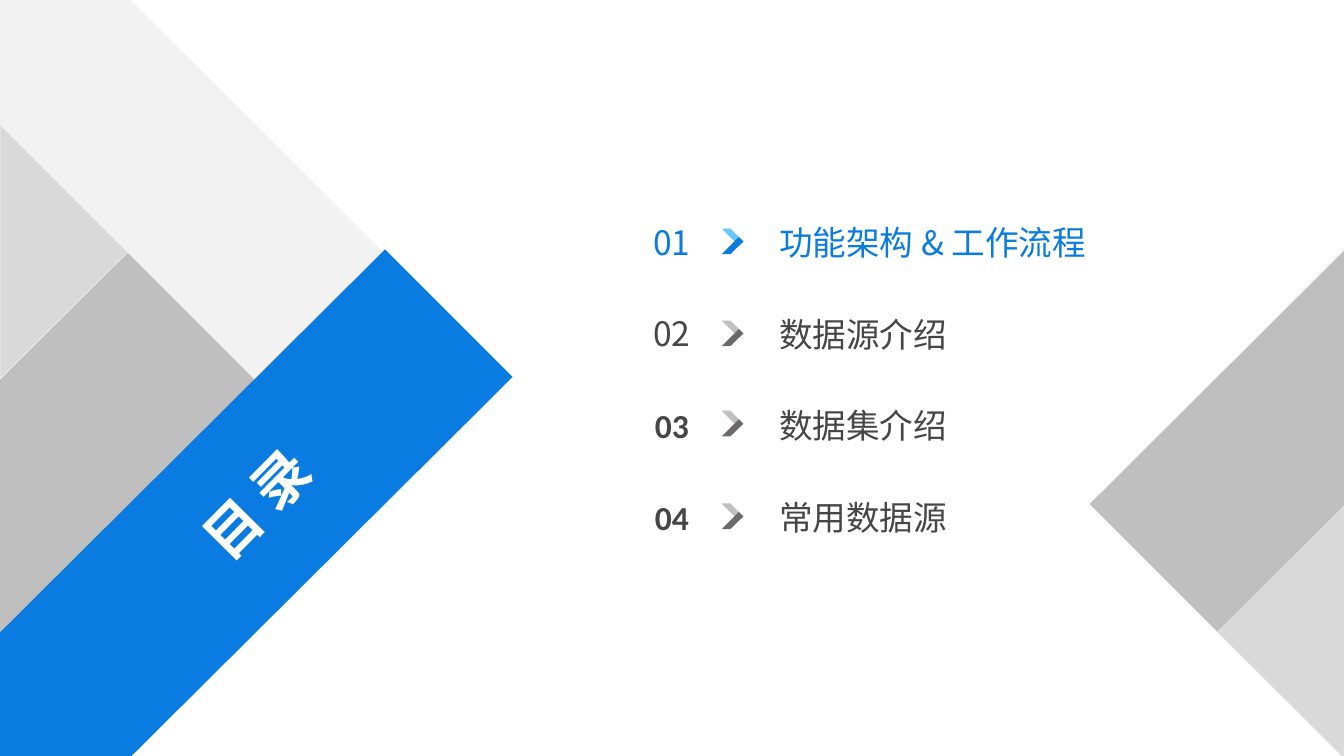
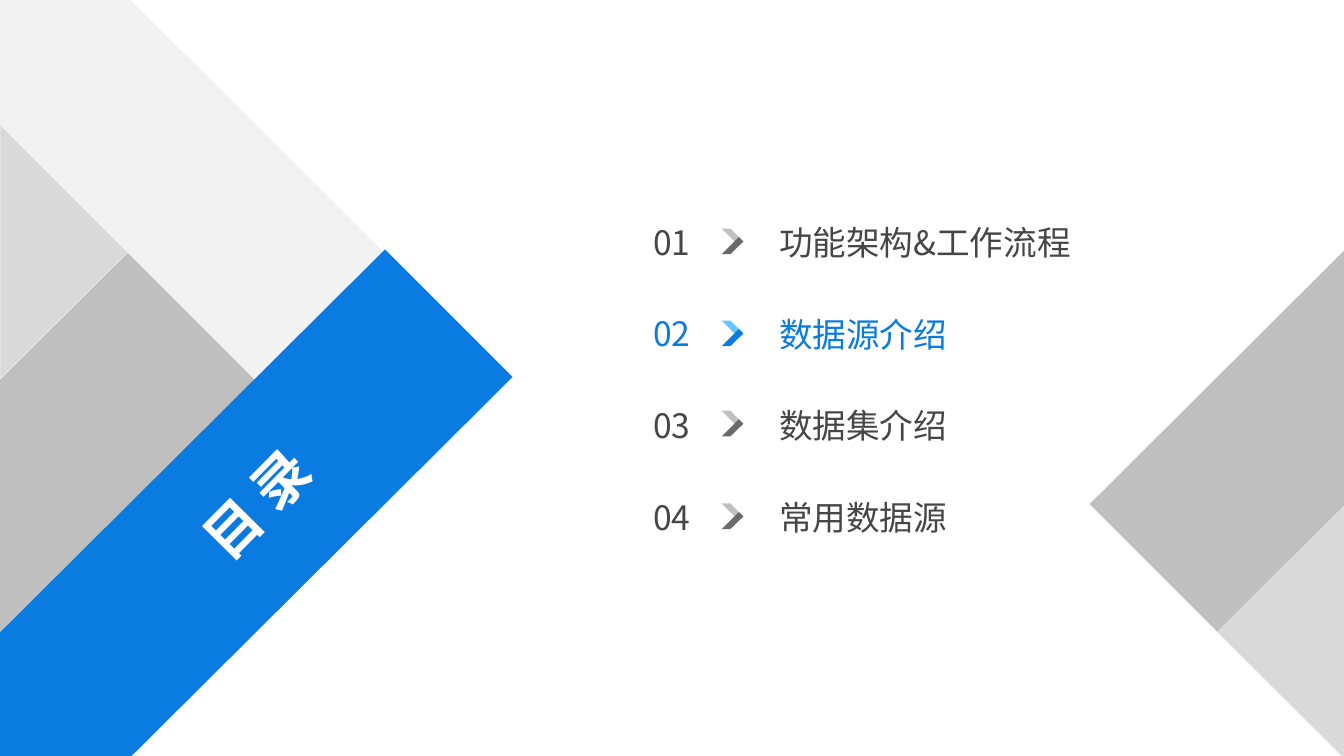
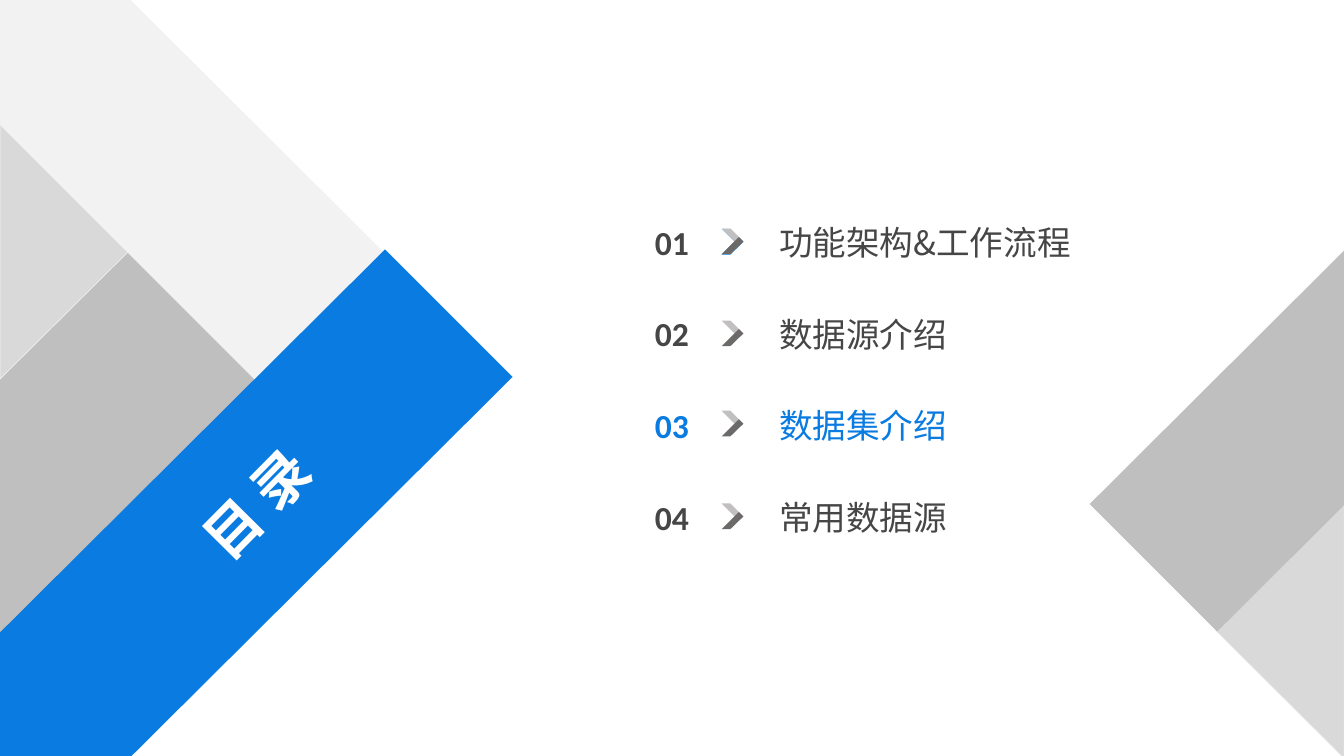
"""Build three agenda slides, each highlighting one section."""
import pptx
import pptx.util
import pptx.dml.color
import pptx.enum.lang
import pptx.enum.text
import pptx.oxml.ns
from lxml import etree

Pt = pptx.util.Pt
RGBColor = pptx.dml.color.RGBColor
PP_ALIGN = pptx.enum.text.PP_ALIGN

BLUE = RGBColor(0x0A, 0x7B, 0xE0)
SKY = RGBColor(0x66, 0xC7, 0xFF)
TEXT = RGBColor(0x46, 0x46, 0x46)
ARROW_LIGHT = RGBColor(0xC1, 0xBF, 0xBF)
ARROW_DARK = RGBColor(0x6C, 0x69, 0x69)
GREY = RGBColor(0xBF, 0xBF, 0xBF)
SILVER = RGBColor(0xD9, 0xD9, 0xD9)
PALE = RGBColor(0xF2, 0xF2, 0xF2)
WHITE = RGBColor(0xFF, 0xFF, 0xFF)
CJK = "Noto Sans CJK JP"
LATIN = "Calibri"

GREY_BLOCK = [(183.6, 359.3), (365.8, 541.4), (0, 905.8), (0, 542.2)]
SILVER_CORNER = [(0, 176.4), (183.6, 359.3), (0, 541.4)]
PALE_BAND = [(0, 0), (186.5, 0), (550, 362.2), (366.5, 545), (0, 178.6)]
BLUE_BAND = [(550, 356.4), (732.2, 538.6), (186.5, 1081.4), (0, 1081.4), (0, 903.6)]
ARROW_UPPER = [(0, 0), (24.5, 24.5), (31, 18.5), (12.3, 0)]
ARROW_LOWER = [(0, 36.7), (24.5, 12.2), (31, 18.5), (12.3, 36.7)]

ARROW_LEFT = 1031
ARROW_TOPS = (326.5, 457.9, 586.8, 719.3)
ROW_TOP, ROW_PITCH = 287.3, 130.8
LABELS = ["功能架构&工作流程", "数据源介绍", "数据集介绍", "常用数据源"]
LABEL_WIDTHS = (593, 650, 593, 593)

SLIDES = [
    {"active": 0, "blue_arrow": 0, "bold_numbers": (2, 3), "first": "功能架构 & 工作流程"},
    {"active": 1, "blue_arrow": 1, "bold_numbers": (), "first": LABELS[0]},
    {"active": 2, "blue_arrow": None, "bold_numbers": (0, 1, 2, 3), "first": LABELS[0]},
]


def add_polygon(shapes, points, color, left=0, top=0, line=None, rotation=0):
    pts = [(Pt(x), Pt(y)) for x, y in points]
    builder = shapes.build_freeform(*pts[0], scale=1.0)
    builder.add_line_segments(pts[1:], close=True)
    sp = builder.convert_to_shape(Pt(left), Pt(top))
    sp.shadow.inherit = False
    sp.fill.solid()
    sp.fill.fore_color.rgb = color
    if line is None:
        sp.line.fill.background()
    else:
        sp.line.color.rgb = line
        sp.line.width = Pt(0.75)
    sp.rotation = rotation
    return sp


def add_text(shapes, text, box, size, color, font=CJK, bold=False, align=PP_ALIGN.CENTER):
    sp = shapes.add_textbox(*[Pt(v) for v in box])
    tf = sp.text_frame
    tf.word_wrap = True
    tf.vertical_anchor = pptx.enum.text.MSO_ANCHOR.MIDDLE
    tf.text = text
    p = tf.paragraphs[0]
    p.alignment = align
    r = p.runs[0]
    r.font.size = Pt(size)
    r.font.bold = bold
    r.font.color.rgb = color
    r.font.name = font
    r.font.language_id = pptx.enum.lang.MSO_LANGUAGE_ID.SIMPLIFIED_CHINESE
    ea = etree.SubElement(r._r.get_or_add_rPr(), pptx.oxml.ns.qn("a:ea"))
    ea.set("typeface", font)
    return sp


prs = pptx.Presentation()
prs.slide_width, prs.slide_height = Pt(1920), Pt(1080)

for page in SLIDES:
    s = prs.slides.add_slide(prs.slide_layouts[6])

    panel = s.shapes.add_group_shape().shapes
    add_polygon(panel, GREY_BLOCK, GREY)
    add_polygon(panel, SILVER_CORNER, SILVER, line=PALE)
    add_polygon(panel, PALE_BAND, PALE)
    add_polygon(panel, BLUE_BAND, BLUE)
    title = add_text(panel, "目 录", (23, 622, 687, 194.4), 80, WHITE, bold=True)
    title.rotation = 314.7

    arrows = [(top, ARROW_LIGHT, ARROW_DARK) for top in ARROW_TOPS]
    if page["blue_arrow"] is None:
        arrows.insert(0, (ARROW_TOPS[0] + 0.5, SKY, BLUE))
    else:
        arrows[page["blue_arrow"]] = (ARROW_TOPS[page["blue_arrow"]], SKY, BLUE)
    for top, upper, lower in arrows:
        arrow = s.shapes.add_group_shape().shapes
        add_polygon(arrow, ARROW_UPPER, upper, ARROW_LEFT, top)
        add_polygon(arrow, ARROW_LOWER, lower, ARROW_LEFT, top)

    for i, label in enumerate([page["first"]] + LABELS[1:]):
        top = ROW_TOP + i * ROW_PITCH
        color = BLUE if i == page["active"] else TEXT
        bold = i in page["bold_numbers"]
        add_text(s.shapes, f"{i + 1:02d}", (901.4, top, 116.6, 116.6), 48, color,
                 LATIN if bold else CJK, bold)
        add_text(s.shapes, label, (1106, top - 9.5, LABEL_WIDTHS[i], 136), 48, color,
                 align=PP_ALIGN.LEFT)

    add_polygon(s.shapes, SILVER_CORNER, SILVER, 1736.6, 542.2, PALE, 180)
    add_polygon(s.shapes, GREY_BLOCK, GREY, 1556.6, -3.6, rotation=180)

prs.save("out.pptx")
